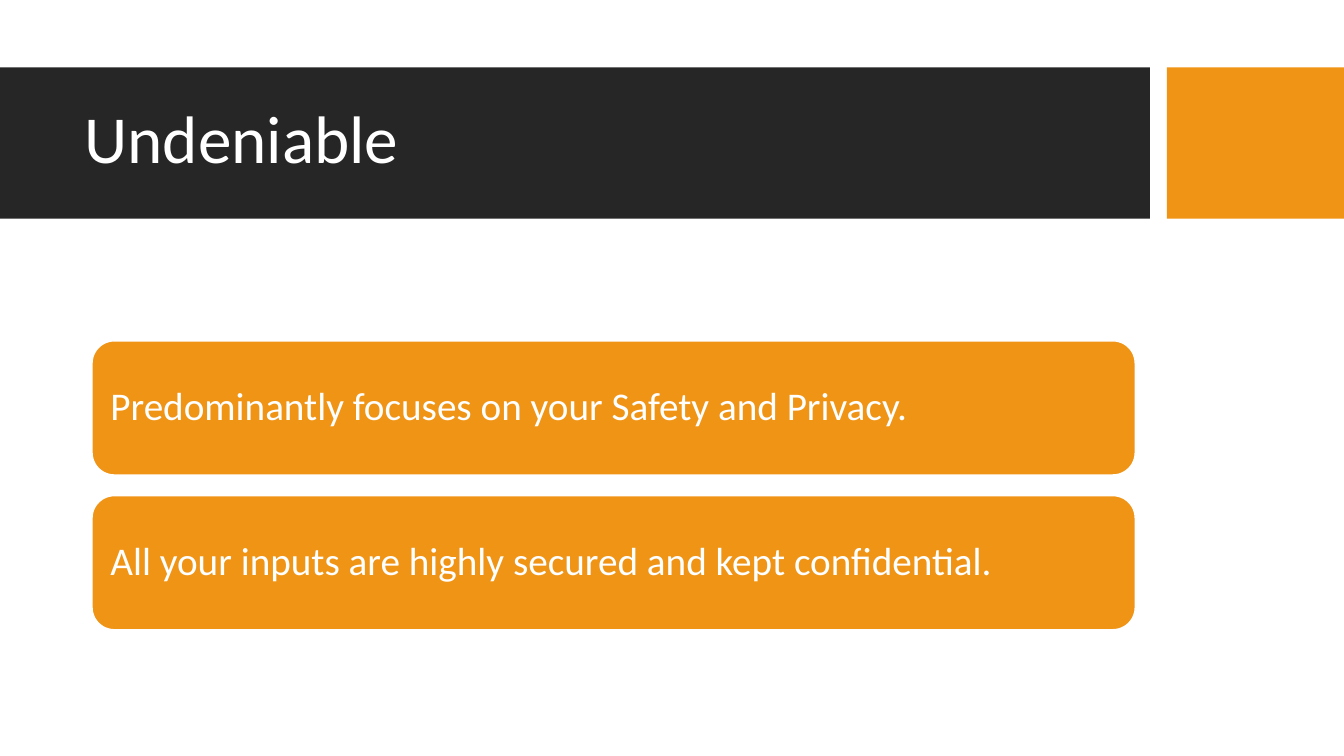
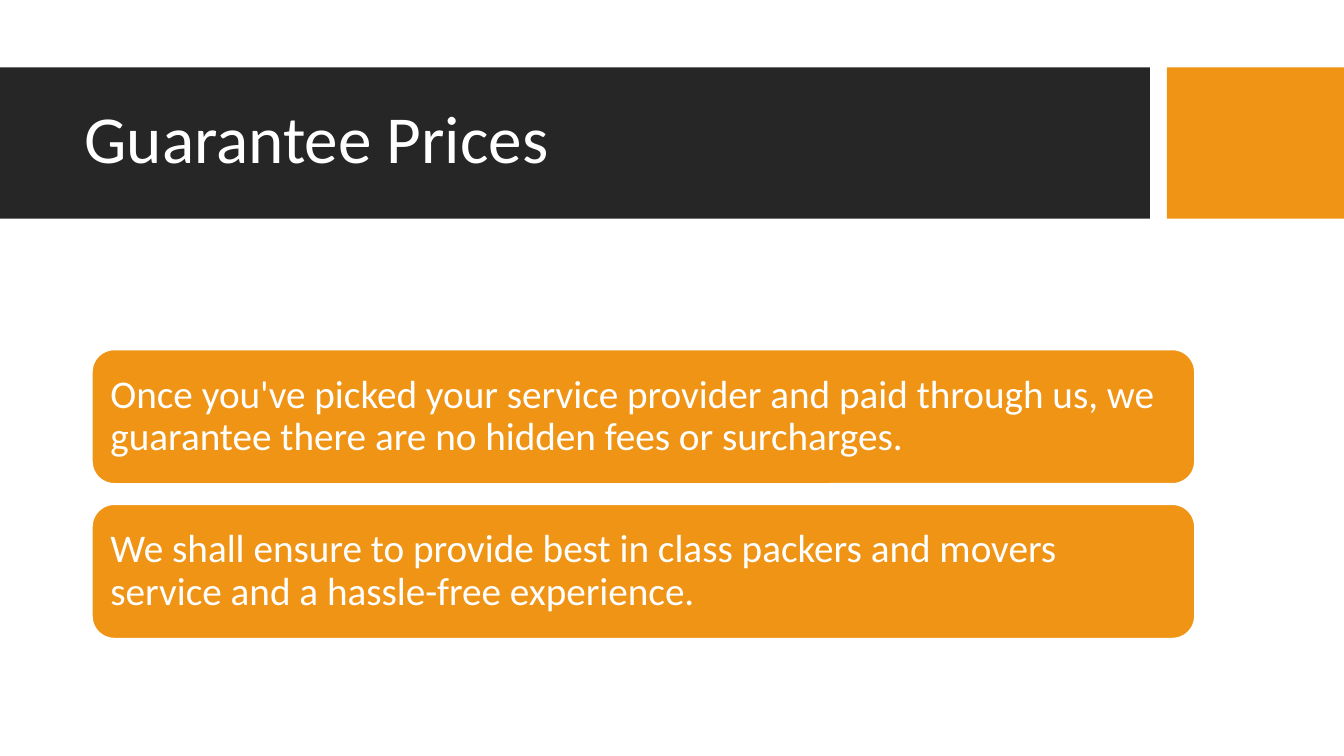
from dataclasses import dataclass

import pptx
import pptx.dml.color
import pptx.enum.shapes
import pptx.enum.text
import pptx.util

Cm = pptx.util.Cm
Shape = pptx.enum.shapes.MSO_SHAPE


@dataclass(frozen=True)
class Theme:
    font: str = "Calibri"
    dark: str = "262626"
    accent: str = "F09415"
    white: str = "FFFFFF"
    title_size: int = 48
    card_size: int = 28


@dataclass(frozen=True)
class Box:
    """A rectangle in centimetres."""
    left: float
    top: float
    width: float
    height: float

    def lengths(self) -> tuple:
        return Cm(self.left), Cm(self.top), Cm(self.width), Cm(self.height)


@dataclass(frozen=True)
class CardSlide:
    title: str
    cards_top: float
    cards_width: float
    cards: tuple[str, ...]


THEME = Theme()
SLIDE_WIDTH, SLIDE_HEIGHT = 33.87, 19.05
TITLE_BAND = Box(0, 1.7, 28.98, 3.81)
ACCENT_LEFT = 29.41
ACCENT_BLOCK = Box(ACCENT_LEFT, TITLE_BAND.top, SLIDE_WIDTH - ACCENT_LEFT, TITLE_BAND.height)
TITLE_BOX = Box(1.88, 2.08, 26.7, 3)
CARD_LEFT, CARD_HEIGHT, CARD_GAP = 2.32, 3.38, 0.52

SLIDES = (
    CardSlide("Undeniable", 8.59, 26.29, (
        "Predominantly focuses on your Safety and Privacy.",
        "All your inputs are highly secured and kept confidential.",
    )),
    CardSlide("Guarantee Prices", 8.81, 27.79, (
        "Once you've picked your service provider and paid through us, "
        "we guarantee there are no hidden fees or surcharges.",
        "We shall ensure to provide best in class packers and movers "
        "service and a hassle-free experience.",
    )),
)


def rgb(value: str) -> pptx.dml.color.RGBColor:
    return pptx.dml.color.RGBColor.from_string(value)


def write(shape, text: str, *, size: int, color: str = THEME.white,
          inset: float = 0.25) -> None:
    frame = shape.text_frame
    frame.word_wrap = True
    frame.vertical_anchor = pptx.enum.text.MSO_ANCHOR.MIDDLE
    frame.margin_left = frame.margin_right = Cm(inset)
    frame.margin_top = frame.margin_bottom = Cm(0.13)
    paragraph = frame.paragraphs[0]
    paragraph.text = text
    paragraph.alignment = pptx.enum.text.PP_ALIGN.LEFT
    paragraph.line_spacing = 0.9
    paragraph.font.name = THEME.font
    paragraph.font.size = pptx.util.Pt(size)
    paragraph.font.color.rgb = rgb(color)


def add_filled(slide, kind: Shape, box: Box, fill: str, outline: str | None = None):
    shape = slide.shapes.add_shape(kind, *box.lengths())
    shape.shadow.inherit = False
    shape.fill.solid()
    shape.fill.fore_color.rgb = rgb(fill)
    if outline:
        shape.line.color.rgb = rgb(outline)
        shape.line.width = pptx.util.Pt(1)
    else:
        shape.line.fill.background()
    return shape


def add_header(slide, title: str) -> None:
    add_filled(slide, Shape.RECTANGLE, TITLE_BAND, THEME.dark)
    add_filled(slide, Shape.RECTANGLE, ACCENT_BLOCK, THEME.accent)
    heading = slide.shapes.add_textbox(*TITLE_BOX.lengths())
    write(heading, title, size=THEME.title_size)


def add_cards(slide, content: CardSlide) -> None:
    for row, text in enumerate(content.cards):
        top = content.cards_top + row * (CARD_HEIGHT + CARD_GAP)
        box = Box(CARD_LEFT, top, content.cards_width, CARD_HEIGHT)
        card = add_filled(slide, Shape.ROUNDED_RECTANGLE, box, THEME.accent, THEME.white)
        write(card, text, size=THEME.card_size, inset=0.3)


def main() -> None:
    deck = pptx.Presentation()
    deck.slide_width, deck.slide_height = Cm(SLIDE_WIDTH), Cm(SLIDE_HEIGHT)
    blank = deck.slide_layouts[6]
    for content in SLIDES:
        slide = deck.slides.add_slide(blank)
        add_header(slide, content.title)
        add_cards(slide, content)
    deck.save("out.pptx")


if __name__ == "__main__":
    main()
